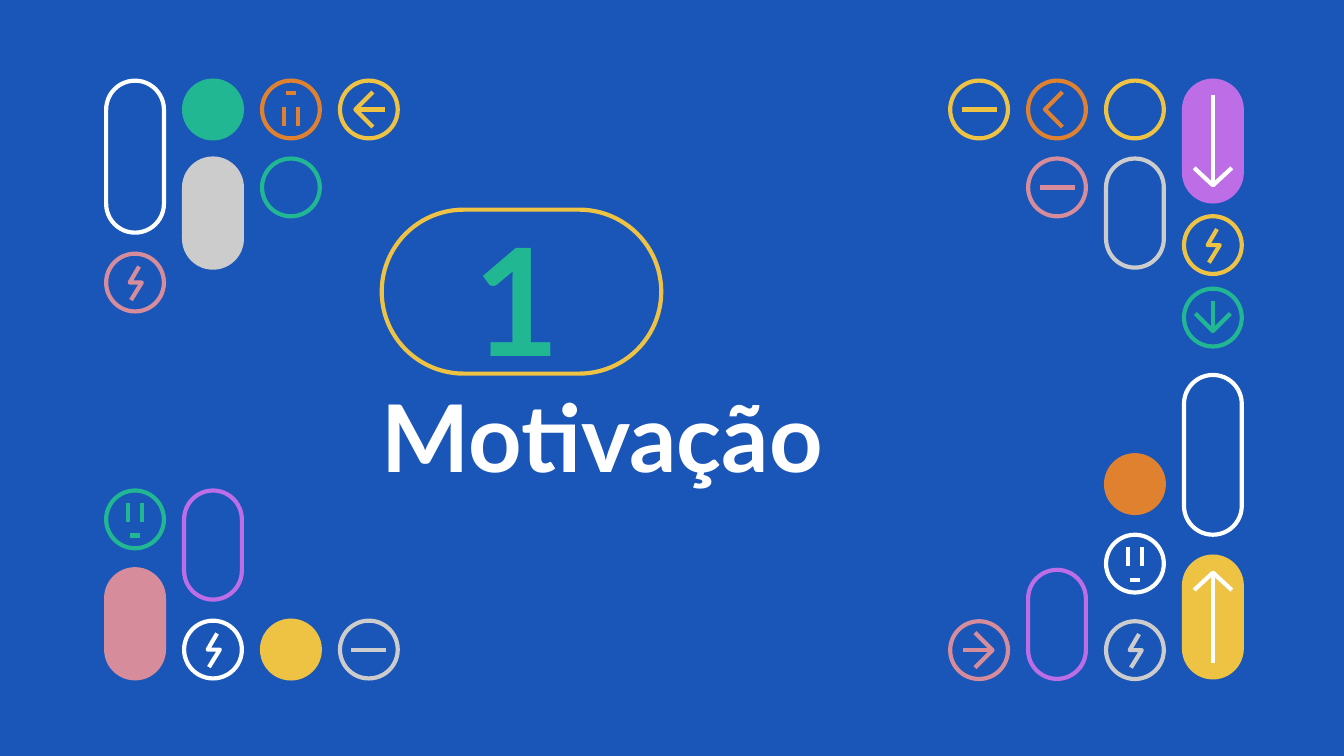
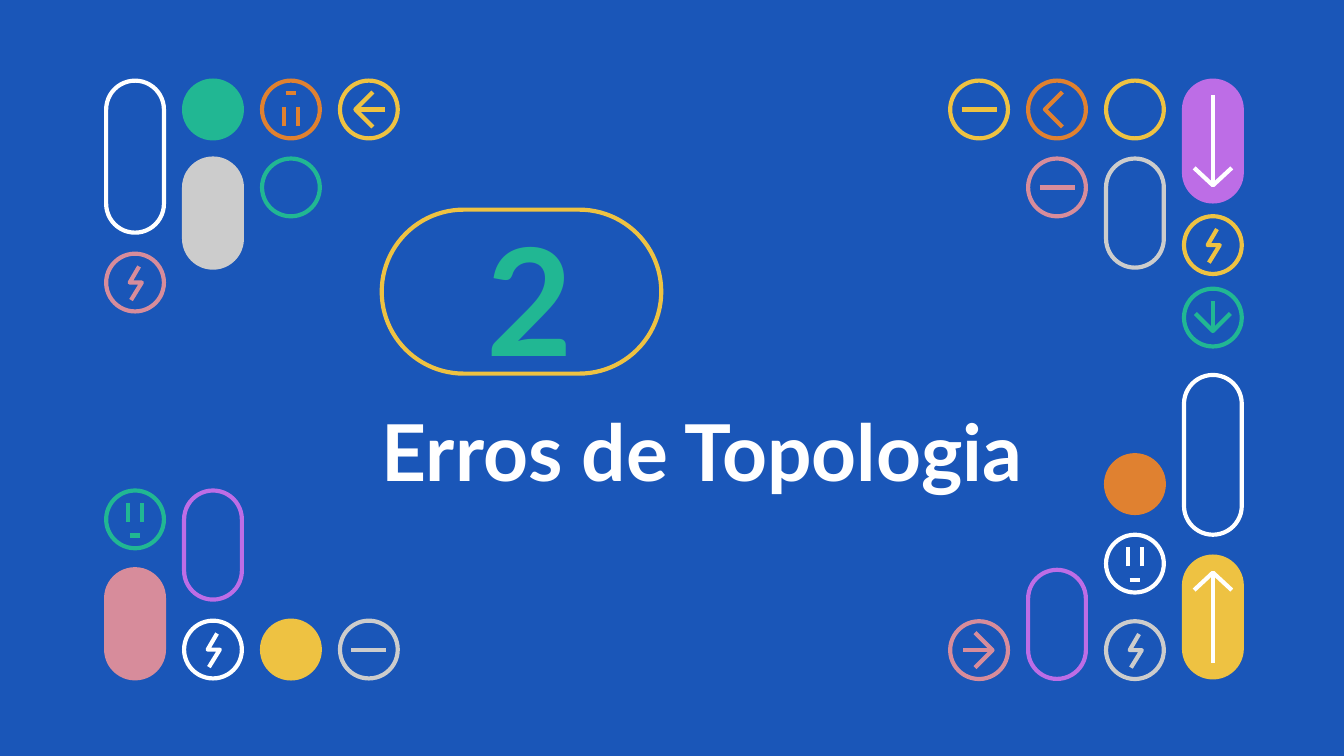
from pptx import Presentation as Deck
from pptx.dml.color import RGBColor as Color
from pptx.enum.shapes import MSO_CONNECTOR as Link, MSO_SHAPE as Form
from pptx.enum.text import MSO_ANCHOR as Anchor, MSO_AUTO_SIZE as Fit, PP_ALIGN as Align
from pptx.oxml.ns import qn
from pptx.util import Inches, Pt

BLUE = Color(0x1A, 0x56, 0xB8)
WHITE = Color(0xFF, 0xFF, 0xFF)
GREY = Color(0xCC, 0xCC, 0xCC)
GOLD = Color(0xEE, 0xC2, 0x42)
PINK = Color(0xD7, 0x8C, 0x9B)
GREEN = Color(0x21, 0xB7, 0x93)
MAUVE = Color(0xBD, 0x6D, 0xE6)
RUST = Color(0xE0, 0x81, 0x30)

WIDE = 10
HIGH = WIDE * 9 / 16
STEP = 0.58    # pitch of the grid of badges
SIZE = 0.43    # width of a badge
DOT = SIZE / STEP
RIGHT, DOWN, LEFT, UP = range(4)  # quarter turns, clockwise

FRAME = dict(margin_left=0, margin_right=0, margin_top=0, margin_bottom=0,
             vertical_anchor=Anchor.MIDDLE, auto_size=Fit.NONE, word_wrap=True)
FONT = dict(name="Lato", bold=True)

# Strokes of each sign, in inches from the badge centre, facing right
SIGNS = {
    "bar": [[(-0.13, 0), (0.13, 0)]],
    "bolt": [[(0.03, -0.12), (-0.04, 0), (0.05, 0), (-0.03, 0.13)]],
    "face": [[(-0.05, 0.02), (-0.05, -0.12)], [(0.05, 0.02), (0.05, -0.12)],
             [(-0.04, 0.12), (0.04, 0.12)]],
    "flip": [[(-0.05, -0.02), (-0.05, 0.12)], [(0.05, -0.02), (0.05, 0.12)],
             [(-0.04, -0.12), (0.04, -0.12)]],
    "hook": [[(-0.04, -0.13), (0.09, 0), (-0.04, 0.13)]],
    "arrow": [[(-0.03, -0.13), (0.1, 0), (-0.03, 0.13)],
              [(0.1, 0), (-0.12, 0)]],
    "long": [[(0.2, -0.14), (0.33, 0), (0.2, 0.14)],
             [(0.33, 0), (-0.34, 0)]],
}

# Badges of each corner: column, row, height in rows, colour, filled, sign, turn
CORNERS = [
    ((0.79, 0.6), [
        (0, 0, 1.95, WHITE, False, None, 0),
        (0, 2.22, DOT, PINK, False, "bolt", 0),
        (1, 0, DOT, GREEN, True, None, 0),
        (1, 1, 1.4, GREY, True, None, 0),
        (2, 0, DOT, RUST, False, "flip", 0),
        (2, 1, DOT, GREEN, False, None, 0),
        (3, 0, DOT, GOLD, False, "arrow", LEFT),
    ]),
    ((0.79, 3.65), [
        (0, 0, DOT, GREEN, False, "face", 0),
        (0, 1.01, 1.4, PINK, True, None, 0),
        (1, 0, 1.4, MAUVE, False, None, 0),
        (1, 1.67, DOT, WHITE, False, "bolt", 0),
        (2, 1.67, DOT, GOLD, True, None, 0),
        (3, 1.67, DOT, GREY, False, "bar", 0),
    ]),
    ((7.07, 0.6), [
        (0, 0, DOT, GOLD, False, "bar", 0),
        (1, 0, DOT, RUST, False, "hook", LEFT),
        (1, 1, DOT, PINK, False, "bar", 0),
        (2, 0, DOT, GOLD, False, None, 0),
        (2, 1, 1.4, GREY, False, None, 0),
        (3, 0, 1.55, MAUVE, True, "long", DOWN),
        (3, 1.74, DOT, GOLD, False, "bolt", 0),
        (3, 2.67, DOT, GREEN, False, "arrow", DOWN),
    ]),
    ((7.07, 2.79), [
        (0, 3.16, DOT, PINK, False, "arrow", RIGHT),
        (1, 2.5, 1.4, MAUVE, False, None, 0),
        (2, 1.03, DOT, RUST, True, None, 0),
        (2, 2.05, DOT, WHITE, False, "face", 0),
        (2, 3.16, DOT, GREY, False, "bolt", 0),
        (3, 0, 2.05, WHITE, False, None, 0),
        (3, 2.33, 1.55, GOLD, True, "long", UP),
    ]),
]


def put(item, values):
    for key, value in values.items():
        setattr(item, key, value)


def ink(shape, tint):
    put(shape.line, dict(width=Pt(2.25)))
    shape.line.color.rgb = tint


def pill(slide, box, tint, full=False):
    """Round shape: a circle when its box is square."""
    form = Form.OVAL if box[2] == box[3] else Form.ROUNDED_RECTANGLE
    shape = slide.shapes.add_shape(form, *map(Inches, box))
    if form == Form.ROUNDED_RECTANGLE:
        shape.adjustments[0] = 0.5
    shape.shadow.inherit = False
    ink(shape, tint)
    if full:
        shape.fill.solid()
        shape.fill.fore_color.rgb = tint
    else:
        shape.fill.background()


def stroke(slide, dots, tint):
    """Straight line for two points, open outline for more."""
    dots = [(Inches(x), Inches(y)) for x, y in dots]
    if len(dots) == 2:
        shape = slide.shapes.add_connector(Link.STRAIGHT, *dots[0], *dots[1])
        props = shape._element.spPr
        ink(shape, tint)
        props.append(props.makeelement(qn("a:effectLst"), {}))
        return
    trace = slide.shapes.build_freeform(*dots[0], scale=1.0)
    trace.add_line_segments(dots[1:], close=False)
    shape = trace.convert_to_shape()
    shape.shadow.inherit = False
    shape.fill.background()
    ink(shape, tint)


def sign(slide, mid, name, turn, tint):
    for dots in SIGNS[name]:
        for _ in range(turn):
            dots = [(-y, x) for x, y in dots]
        stroke(slide, [(mid[0] + x, mid[1] + y) for x, y in dots], tint)


def corner(slide, spot, badges):
    """Badges on a grid that starts at the given spot."""
    for col, row, rows, tint, full, name, turn in badges:
        x, y = spot[0] + col * STEP, spot[1] + row * STEP
        tall = SIZE if rows == DOT else rows * STEP
        pill(slide, (x, y, SIZE, tall), tint, full)
        if name:
            mid = x + SIZE / 2, y + tall / 2
            sign(slide, mid, name, turn, WHITE if full else tint)


def label(shape, box, text, size, tint):
    sides = ("left", "top", "width", "height")
    put(shape, dict(zip(sides, map(Inches, box))))
    put(shape.text_frame, FRAME)
    para = shape.text_frame.paragraphs[0]
    para.alignment = Align.LEFT
    run = para.add_run()
    run.text = text
    put(run.font, dict(FONT, size=Pt(size)))
    run.font.color.rgb = tint


def section(deck, num, inset, text, size, box):
    """Section opener: corners, number in its pill, title."""
    slide = deck.slides.add_slide(deck.slide_layouts[5])
    for spot, badges in CORNERS:
        corner(slide, spot, badges)
    # Number
    left, top, wide, high = 2.84, 1.56, 2.08, 1.22
    pill(slide, (left, top, wide, high), GOLD)
    area = (left + inset, top + 0.11, 1.25, 1.08)
    label(slide.shapes.add_textbox(0, 0, 0, 0), area, num, 80, GREEN)
    # Title
    label(slide.shapes.title, (left, *box), text, size, WHITE)


def main():
    deck = Deck()
    put(deck, dict(slide_width=Inches(WIDE), slide_height=Inches(HIGH)))
    back = deck.slide_master.background.fill
    back.solid()
    back.fore_color.rgb = BLUE
    section(deck, "1", 0.68, "Motivação", 50, (2.78, 4.32, 0.92))
    section(deck, "2", 0.78, "Erros de Topologia", 42, (2.89, 6.52, 0.92))
    deck.save("out.pptx")


if __name__ == "__main__":
    main()
